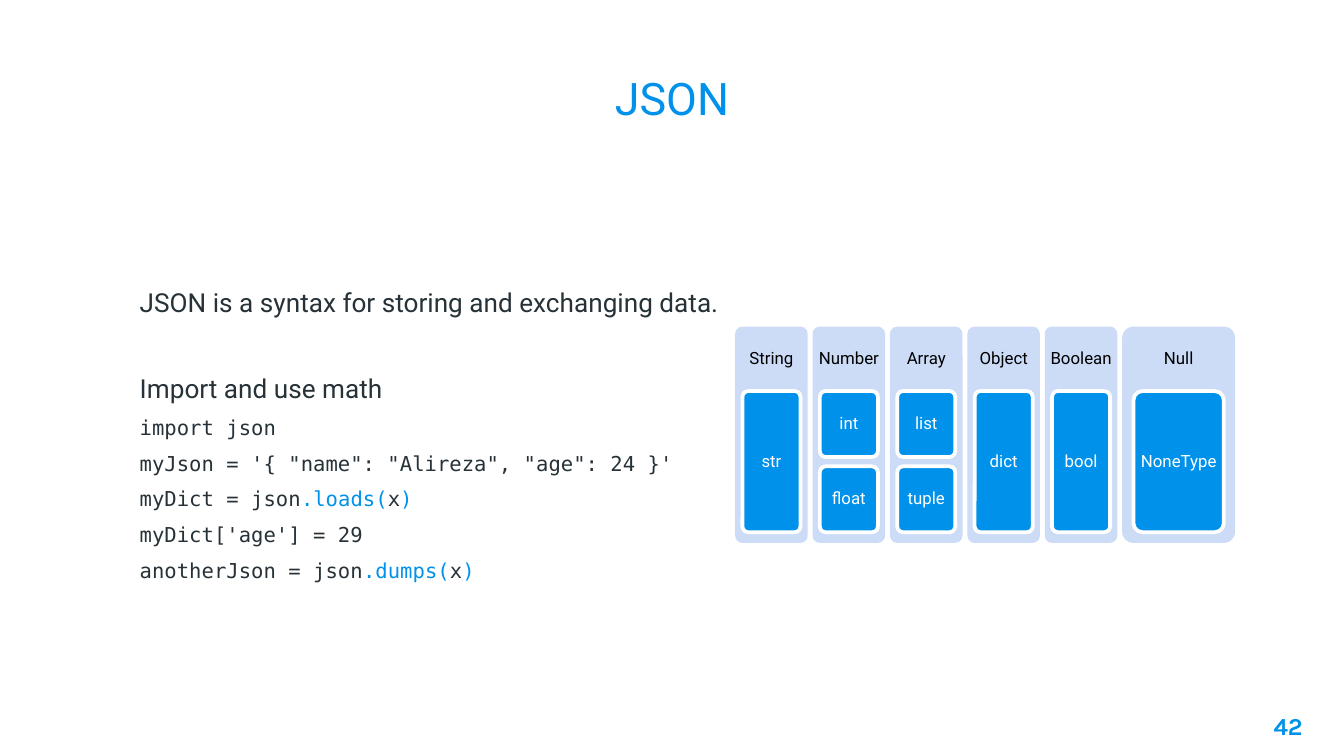
from pptx import Presentation
from pptx.dml.color import RGBColor
from pptx.enum.shapes import MSO_SHAPE as Shape
from pptx.enum.text import MSO_ANCHOR as Anchor, PP_ALIGN as Align
from pptx.util import Inches, Pt

COLORS = {"accent": "0091EA", "ink": "263238", "card": "CCDCF7",
          "black": "000000", "white": "FFFFFF"}
SANS, MONO, NUMBER_FONT = "Roboto", "DejaVu Sans Mono", "Karla"
SLIDE_W, SLIDE_H = 10, 10 * 9 / 16

INTRO = [("JSON is a syntax for storing and exchanging data.", 6),
         ("Import and use math", 29)]
# Each line is a list of (text, colour) runs.
CODE = [
    [("import json", "ink")],
    [("myJson = '{ \"name\": \"Alireza\", \"age\": 24 }'", "ink")],
    [("myDict = json", "ink"), (".loads(", "accent"), ("x", "ink"), (")", "accent")],
    [("myDict['age'] = 29", "ink")],
    [("anotherJson = json", "ink"), (".dumps(", "accent"), ("x", "ink"), (")", "accent")],
]

TYPES = [("String", ["str"]), ("Number", ["int", "float"]),
         ("Array", ["list", "tuple"]), ("Object", ["dict"]),
         ("Boolean", ["bool"]), ("Null", ["NoneType"])]
FIRST_CARD_X, LAST_CARD_X = 5.47, 8.35
CARD_PITCH = (LAST_CARD_X - FIRST_CARD_X) / (len(TYPES) - 1)
CARD_W, LAST_CARD_W = 0.54, 0.84
CARD_TOP, CARD_H = 2.43, 1.61
HEAD_H, BOXES_H, BOX_GAP = 0.48, 1.05, 0.07


def rgb(name):
    return RGBColor.from_string(COLORS[name])


def write(p, runs, font=SANS, size=9, color="ink", bold=False,
          align=Align.CENTER, before=0, spacing=None):
    """Fill paragraph p with a string or a list of (text, colour) runs."""
    p.alignment = align
    p.space_before = Pt(before)
    if spacing:
        p.line_spacing = spacing
    if isinstance(runs, str):
        runs = [(runs, color)]
    for text, run_color in runs:
        r = p.add_run()
        r.text = text
        r.font.name, r.font.size, r.font.bold = font, Pt(size), bold
        r.font.color.rgb = rgb(run_color)


def set_frame(tf, anchor=Anchor.MIDDLE, inset=(0.1, 0.1, 0.1, 0.1), wrap=True):
    tf.word_wrap = wrap
    tf.vertical_anchor = anchor
    (tf.margin_left, tf.margin_top,
     tf.margin_right, tf.margin_bottom) = map(Inches, inset)


class Deck:
    def __init__(self, width, height):
        self.prs = Presentation()
        self.prs.slide_width, self.prs.slide_height = Inches(width), Inches(height)
        self.s = None

    def new_slide(self):
        self.s = self.prs.slides.add_slide(self.prs.slide_layouts[5])

    def title(self, text, x, y, w, h):
        sp = self.s.shapes.title
        sp.left, sp.top, sp.width, sp.height = map(Inches, (x, y, w, h))
        set_frame(sp.text_frame)
        write(sp.text_frame.paragraphs[0], text, size=24, color="accent")

    def text(self, paragraphs, x, y, w, h, **frame):
        """Add a text box; paragraphs is a list of (runs, format) pairs."""
        tf = self.s.shapes.add_textbox(*map(Inches, (x, y, w, h))).text_frame
        set_frame(tf, **frame)
        for i, (runs, style) in enumerate(paragraphs):
            write(tf.add_paragraph() if i else tf.paragraphs[0], runs, **style)

    def box(self, x, y, w, h, fill, line=None, label=None):
        sp = self.s.shapes.add_shape(Shape.ROUNDED_RECTANGLE,
                                     *map(Inches, (x, y, w, h)))
        sp.adjustments[0] = 0.1
        sp.shadow.inherit = False
        sp.fill.solid()
        sp.fill.fore_color.rgb = rgb(fill)
        if line:
            sp.line.color.rgb = rgb(line)
            sp.line.width = Pt(2)
        else:
            sp.line.fill.background()
        if label:
            set_frame(sp.text_frame, inset=(0.03, 0.02, 0.03, 0.02), wrap=False)
            write(sp.text_frame.paragraphs[0], label, color="white", spacing=0.9)

    def type_card(self, x, w, json_type, python_types):
        """Add a JSON type card holding the Python types it maps to."""
        self.box(x, CARD_TOP, w, CARD_H, "card")
        self.text([(json_type, dict(color="black", spacing=0.9))],
                  x, CARD_TOP, w, HEAD_H, inset=(0.04,) * 4, wrap=False)
        n = len(python_types)
        h = (BOXES_H - (n - 1) * BOX_GAP) / n
        for i, name in enumerate(python_types):
            y = CARD_TOP + HEAD_H + i * (h + BOX_GAP)
            self.box(x + 0.1 * w, y, 0.8 * w, h, "accent", "white", name)


def main():
    deck = Deck(SLIDE_W, SLIDE_H)
    deck.new_slide()
    deck.title("JSON", 0.86, 0.34, 8.28, 0.77)

    body = [(text, dict(size=14, align=Align.JUSTIFY, before=before))
            for text, before in INTRO]
    body += [(runs, dict(font=MONO, size=11, align=Align.JUSTIFY, before=6))
             for runs in CODE]
    deck.text(body, 0.86, 1.25, 8.28, 3.97, inset=(0.18, 0.1, 0.1, 0.1))

    number = dict(font=NUMBER_FONT, size=13, color="accent", bold=True,
                  align=Align.RIGHT)
    deck.text([("42", number)], 9.19, 5.19, 0.6, 0.43, anchor=Anchor.TOP)

    for i, (json_type, python_types) in enumerate(TYPES):
        w = LAST_CARD_W if i == len(TYPES) - 1 else CARD_W
        deck.type_card(FIRST_CARD_X + i * CARD_PITCH, w, json_type, python_types)

    deck.prs.save("out.pptx")


if __name__ == "__main__":
    main()
